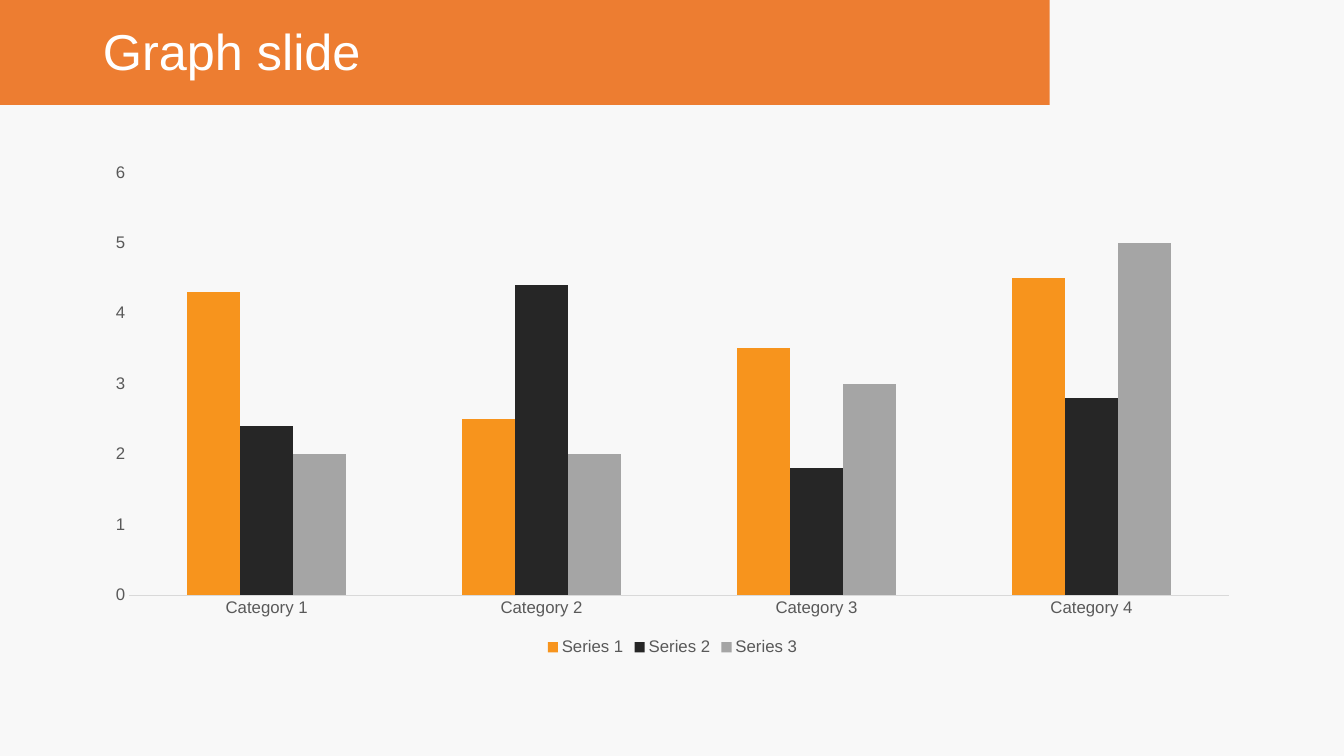
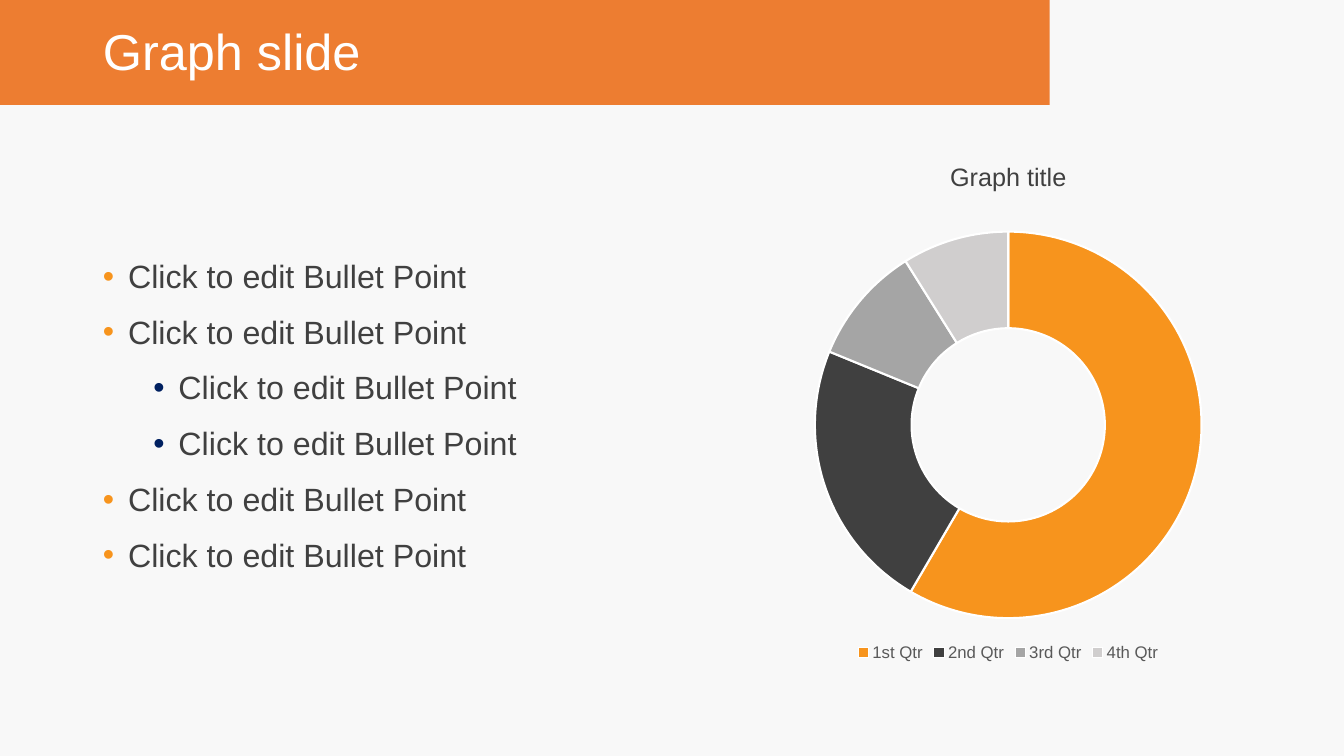
from lxml.etree import SubElement
from pptx import Presentation
from pptx.chart.data import CategoryChartData
from pptx.dml.color import RGBColor
from pptx.enum.chart import XL_CHART_TYPE as ChartType
from pptx.enum.chart import XL_LEGEND_POSITION as LegendPosition
from pptx.enum.chart import XL_TICK_MARK as TickMark
from pptx.enum.shapes import MSO_SHAPE as Shape
from pptx.enum.text import MSO_ANCHOR as Anchor
from pptx.enum.text import MSO_AUTO_SIZE as AutoSize
from pptx.enum.text import PP_ALIGN as Align
from pptx.oxml.ns import qn
from pptx.util import Emu, Pt

PX = 9144  # 100 px to the inch
FONT = "Arial"

PAPER = RGBColor(0xF8, 0xF8, 0xF8)
WHITE = RGBColor(0xFF, 0xFF, 0xFF)
BAND = RGBColor(0xED, 0x7D, 0x31)
ORANGE = RGBColor(0xF7, 0x94, 0x1D)
NAVY = RGBColor(0x00, 0x20, 0x60)
BLACK = RGBColor(0x26, 0x26, 0x26)
CHARCOAL = RGBColor(0x40, 0x40, 0x40)
LABEL = RGBColor(0x59, 0x59, 0x59)
GREY = RGBColor(0xA5, 0xA5, 0xA5)
PALE_GREY = RGBColor(0xD0, 0xCE, 0xCE)
AXIS = RGBColor(0xD9, 0xD9, 0xD9)

BULLET_COLORS = (ORANGE, NAVY)
BULLET_LEVELS = (0, 0, 1, 1, 0, 0)
TITLE_ONLY, COMPARISON = 5, 4


def emu(*lengths):
    return [Emu(length * PX) for length in lengths]


def place(shape, box):
    shape.left, shape.top, shape.width, shape.height = emu(*box)


def style_font(font, size, color):
    font.name, font.size, font.bold = FONT, Pt(size), False
    font.color.rgb = color


def fill_text(holder, box, text, size, color, align=Align.LEFT):
    """Place a text placeholder and set its paragraphs, one per line."""
    place(holder, box)
    frame = holder.text_frame
    frame.text = text
    frame.word_wrap = True
    frame.auto_size = AutoSize.NONE
    frame.vertical_anchor = Anchor.MIDDLE
    for para in frame.paragraphs:
        para.alignment = align
        para.line_spacing = 0.9
        for span in para.runs:
            style_font(span.font, size, color)
    return frame.paragraphs


def space_body(para):
    para.space_before, para.space_after = Pt(3), Pt(12)


def set_bullet(para, level):
    para.level = level
    props = para._p.get_or_add_pPr()
    left, hanging = emu(25 + 50 * level, -25)
    props.set("marL", str(left))
    props.set("indent", str(hanging))
    color = SubElement(props, qn("a:buClr"))
    SubElement(color, qn("a:srgbClr"), val=str(BULLET_COLORS[level]))
    SubElement(props, qn("a:buFont"), typeface=FONT)
    SubElement(props, qn("a:buChar"), char="•")


def add_page(deck, layout, title):
    """Add a slide with the orange band behind its title."""
    page = deck.slides.add_slide(deck.slide_layouts[layout])
    band = page.shapes.add_shape(Shape.RECTANGLE, *emu(0, -3, 1041, 107))
    band.shadow.inherit = False
    band.fill.solid()
    band.fill.fore_color.rgb = BAND
    band.line.fill.background()
    holder = page.shapes.title
    holder.element.addprevious(band.element)
    fill_text(holder, (92, 7, 968, 94), title, 36, WHITE)
    return page


def add_chart(page, box, kind, categories, series):
    data = CategoryChartData()
    data.categories = categories
    for name, values in series:
        data.add_series(name, values)
    chart = page.shapes.add_chart(kind, *emu(*box), data).chart
    chart.has_title = False
    style_font(chart.font, 12, LABEL)
    chart.has_legend = True
    chart.legend.position = LegendPosition.BOTTOM
    chart.legend.include_in_layout = False
    style_font(chart.legend.font, 12, LABEL)
    return chart


def paint(part, color):
    part.format.fill.solid()
    part.format.fill.fore_color.rgb = color


def add_columns(page, box):
    chart = add_chart(
        page, box, ChartType.COLUMN_CLUSTERED,
        [f"Category {number}" for number in range(1, 5)],
        [("Series 1", (4.3, 2.5, 3.5, 4.5)),
         ("Series 2", (2.4, 4.4, 1.8, 2.8)),
         ("Series 3", (2, 2, 3, 5))])
    plot = chart.plots[0]
    plot.gap_width, plot.overlap = 219, 0
    plot.vary_by_categories = False
    for series, color in zip(plot.series, (ORANGE, BLACK, GREY)):
        paint(series, color)
    for axis in (chart.category_axis, chart.value_axis):
        axis.has_major_gridlines = False
        axis.major_tick_mark = axis.minor_tick_mark = TickMark.NONE
        style_font(axis.tick_labels.font, 12, LABEL)
    chart.category_axis.format.line.color.rgb = AXIS
    chart.category_axis.format.line.width = Pt(0.75)
    values = chart.value_axis
    values.format.line.fill.background()
    values.minimum_scale, values.maximum_scale, values.major_unit = 0, 6, 1


def add_doughnut(page, box):
    chart = add_chart(
        page, box, ChartType.DOUGHNUT,
        ["1st Qtr", "2nd Qtr", "3rd Qtr", "4th Qtr"],
        [("Series 1", (59, 23, 10, 9))])
    plot = chart.plots[0]
    plot.vary_by_categories = True
    for hole in chart.element.iter(qn("c:holeSize")):
        hole.set("val", "63")
    for index, color in enumerate((ORANGE, CHARCOAL, GREY, PALE_GREY)):
        point = plot.series[0].points[index]
        paint(point, color)
        point.format.line.color.rgb = WHITE
        point.format.line.width = Pt(1.5)


def add_bullets(holder, box):
    text = "\n".join(["Click to edit Bullet Point"] * len(BULLET_LEVELS))
    paras = fill_text(holder, box, text, 23, CHARCOAL)
    for para, level in zip(paras, BULLET_LEVELS):
        space_body(para)
        set_bullet(para, level)


def add_column_page(deck):
    page = add_page(deck, TITLE_ONLY, "Graph slide")
    add_columns(page, (92, 152, 1150, 503))


def add_doughnut_page(deck):
    page = add_page(deck, COMPARISON, "Graph slide")
    holders = {item.placeholder_format.idx: item for item in page.placeholders}
    heading, bullets = holders[1], holders[2]
    for unused in (holders[3], holders[4]):
        unused.element.getparent().remove(unused.element)
    add_bullets(bullets, (92, 152, 662, 524))
    add_doughnut(page, (772, 216, 456, 444))
    paras = fill_text(heading, (772, 145, 456, 63), "Graph title", 18,
                      CHARCOAL, Align.CENTER)
    space_body(paras[0])


def main():
    deck = Presentation()
    deck.slide_width, deck.slide_height = emu(1333, 750)
    background = deck.slide_master.background.fill
    background.solid()
    background.fore_color.rgb = PAPER
    add_column_page(deck)
    add_doughnut_page(deck)
    deck.save("out.pptx")


if __name__ == "__main__":
    main()
